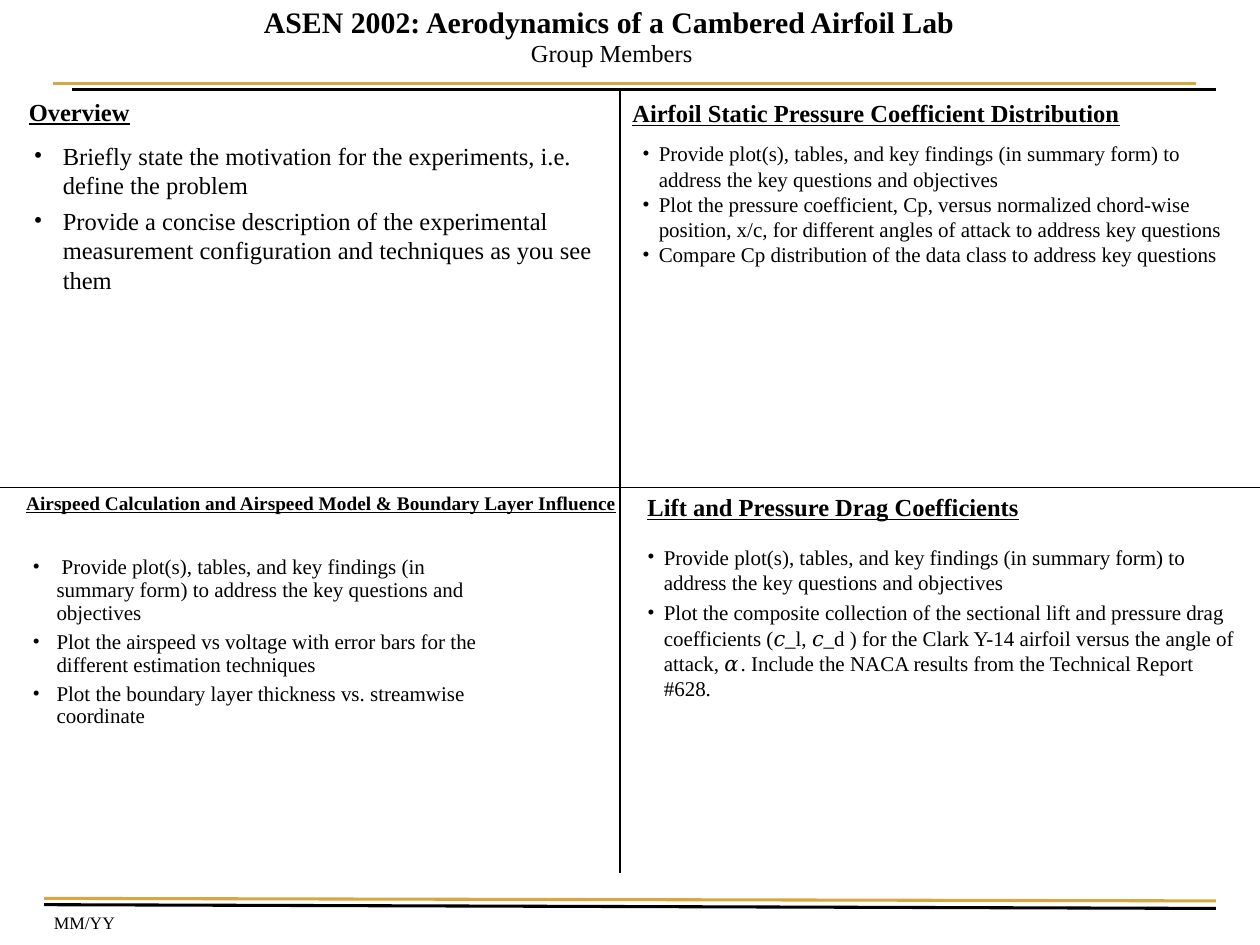
from dataclasses import dataclass

from lxml import etree
from pptx import Presentation
from pptx.dml.color import RGBColor
from pptx.enum.shapes import MSO_CONNECTOR, MSO_SHAPE
from pptx.enum.text import MSO_ANCHOR, MSO_AUTO_SIZE, PP_ALIGN
from pptx.oxml.ns import qn
from pptx.util import Inches, Pt

STRAIGHT, RECTANGLE = MSO_CONNECTOR.STRAIGHT, MSO_SHAPE.RECTANGLE
TOP, MIDDLE = MSO_ANCHOR.TOP, MSO_ANCHOR.MIDDLE
LEFT, CENTER = PP_ALIGN.LEFT, PP_ALIGN.CENTER
NO_FIT = MSO_AUTO_SIZE.NONE

FONT = "Times New Roman"
BLACK, GOLD, WHITE = "000000", "D7A841", "FFFFFF"
SLIDE_W, SLIDE_H = Inches(10), Inches(7.5)
COL, ROW = SLIDE_W // 100, SLIDE_H // 75  # grid of 100 columns by 75 rows


@dataclass
class Box:
    """Left, top, width and height in grid columns and rows."""
    left: float
    top: float
    width: float
    height: float

    def emu(self) -> tuple[int, ...]:
        return (round(self.left * COL), round(self.top * ROW),
                round(self.width * COL), round(self.height * ROW))


@dataclass
class Rule:
    """Start and end in grid columns and rows."""
    x1: float
    y1: float
    x2: float
    y2: float
    color: str = BLACK
    weight: float = 1.75


@dataclass
class Label:
    box: Box
    text: str
    size: float
    heading: bool = False
    align: PP_ALIGN = LEFT


@dataclass
class BulletList:
    box: Box
    items: list[str]
    size: float = 12
    indent: float = 1.3  # in grid columns
    before: float = 0
    spacing: float = 1.0
    filled: bool = False


KEY_FINDINGS = ("Provide plot(s), tables, and key findings (in summary form) "
                "to address the key questions and objectives")

RULES = [
    # Header and footer bands
    Rule(4.2, 6.6, 94.9, 6.6, GOLD),
    Rule(5.7, 7.1, 96.5, 7.1),
    Rule(3.5, 71.8, 96.5, 72.1),
    Rule(3.5, 71.3, 96.5, 71.5, GOLD),
    # Quadrant dividers
    Rule(49.2, 7.1, 49.2, 69.3, weight=0.75),
    Rule(0, 38.7, 100, 38.7, weight=0.75),
]

LABELS = [
    Label(Box(24.8, 2.5, 47.5, 3.4), "Group Members", 14, align=CENTER),
    Label(Box(1.3, 7.2, 47.1, 3.4), "Overview", 14, True),
    Label(Box(49.2, 7.3, 45.8, 3.4),
          "Airfoil Static Pressure Coefficient Distribution", 14, True),
    Label(Box(1.1, 38.5, 49.7, 2.9),
          "Airspeed Calculation and Airspeed Model & Boundary Layer Influence",
          11, True),
    Label(Box(50.4, 38.6, 37.1, 3.4),
          "Lift and Pressure Drag Coefficients", 14, True),
    Label(Box(3.3, 71.9, 7.3, 2.7), "MM/YY", 10),
]

LISTS = [
    BulletList(Box(1.7, 10.7, 46.7, 19.9), [
        "Briefly state the motivation for the experiments, i.e. define the problem",
        "Provide a concise description of the experimental measurement "
        "configuration and techniques as you see them",
    ], size=14, indent=2.3, before=3.5, filled=True),
    BulletList(Box(50, 10.7, 49.2, 13), [
        KEY_FINDINGS,
        "Plot the pressure coefficient, Cp, versus normalized chord-wise position, "
        "x/c, for different angles of attack to address key questions",
        "Compare Cp distribution of the data class to address key questions",
    ]),
    BulletList(Box(1.6, 43.7, 39.1, 19.3), [
        " " + KEY_FINDINGS,
        "Plot the airspeed vs voltage with error bars for the different "
        "estimation techniques",
        "Plot the boundary layer thickness vs. streamwise coordinate",
    ], indent=1.9, before=3.7, spacing=0.9),
    BulletList(Box(50.4, 42.7, 49.2, 15.4), [
        KEY_FINDINGS,
        "Plot the composite collection of the sectional lift and pressure drag "
        "coefficients (𝑐_l, 𝑐_d ) for the Clark Y-14 airfoil versus the angle of "
        "attack, 𝛼. Include the NACA results from the Technical Report #628.",
    ], before=3),
]


def rgb(color: str) -> RGBColor:
    return RGBColor.from_string(color)


def add_run(p, text: str, size: float, bold: bool = False,
            underline: bool = False) -> None:
    r = p.add_run()
    r.text = text
    r.font.name, r.font.size = FONT, Pt(size)
    r.font.bold, r.font.underline = bold, underline
    r.font.color.rgb = rgb(BLACK)


def prepare_frame(sp, anchor: MSO_ANCHOR = TOP):
    tf = sp.text_frame
    tf.word_wrap, tf.auto_size, tf.vertical_anchor = True, NO_FIT, anchor
    return tf


def add_bullet(p, indent: float) -> None:
    pPr = p._p.get_or_add_pPr()
    margin = round(indent * COL)
    pPr.set("marL", str(margin))
    pPr.set("indent", str(-margin))
    color = etree.SubElement(pPr, qn("a:buClr"))
    etree.SubElement(color, qn("a:srgbClr"), val=BLACK)
    etree.SubElement(pPr, qn("a:buFont"), typeface=FONT)
    etree.SubElement(pPr, qn("a:buChar"), char="•")


def set_title(s, text: str) -> None:
    sp = s.shapes.title
    sp.left, sp.top, sp.width, sp.height = Box(11.7, -0.4, 73.3, 4.2).emu()
    p = prepare_frame(sp, MIDDLE).paragraphs[0]
    p.alignment = CENTER
    add_run(p, text, 17, bold=True)


def draw_rule(s, rule: Rule) -> None:
    line = s.shapes.add_connector(
        STRAIGHT, round(rule.x1 * COL), round(rule.y1 * ROW),
        round(rule.x2 * COL), round(rule.y2 * ROW))
    line.line.color.rgb = rgb(rule.color)
    line.line.width = Pt(rule.weight)
    etree.SubElement(line._element.spPr, qn("a:effectLst"))


def draw_label(s, label: Label) -> None:
    p = prepare_frame(s.shapes.add_textbox(*label.box.emu())).paragraphs[0]
    p.alignment = label.align
    add_run(p, label.text, label.size, label.heading, label.heading)


def draw_list(s, bullets: BulletList) -> None:
    if bullets.filled:
        sp = s.shapes.add_shape(RECTANGLE, *bullets.box.emu())
        sp.shadow.inherit = False
        sp.fill.solid()
        sp.fill.fore_color.rgb = rgb(WHITE)
        sp.line.fill.background()
    else:
        sp = s.shapes.add_textbox(*bullets.box.emu())
    tf = prepare_frame(sp)
    for i, item in enumerate(bullets.items):
        p = tf.add_paragraph() if i else tf.paragraphs[0]
        p.alignment = LEFT
        p.line_spacing, p.space_before = bullets.spacing, Pt(bullets.before)
        add_bullet(p, bullets.indent)
        add_run(p, item, bullets.size)


def main() -> None:
    prs = Presentation()
    prs.slide_width, prs.slide_height = SLIDE_W, SLIDE_H
    s = prs.slides.add_slide(prs.slide_layouts[5])
    for rule in RULES:
        draw_rule(s, rule)
    set_title(s, "ASEN 2002: Aerodynamics of a Cambered Airfoil Lab")
    for label in LABELS:
        draw_label(s, label)
    for bullets in LISTS:
        draw_list(s, bullets)
    prs.save("out.pptx")


if __name__ == "__main__":
    main()
